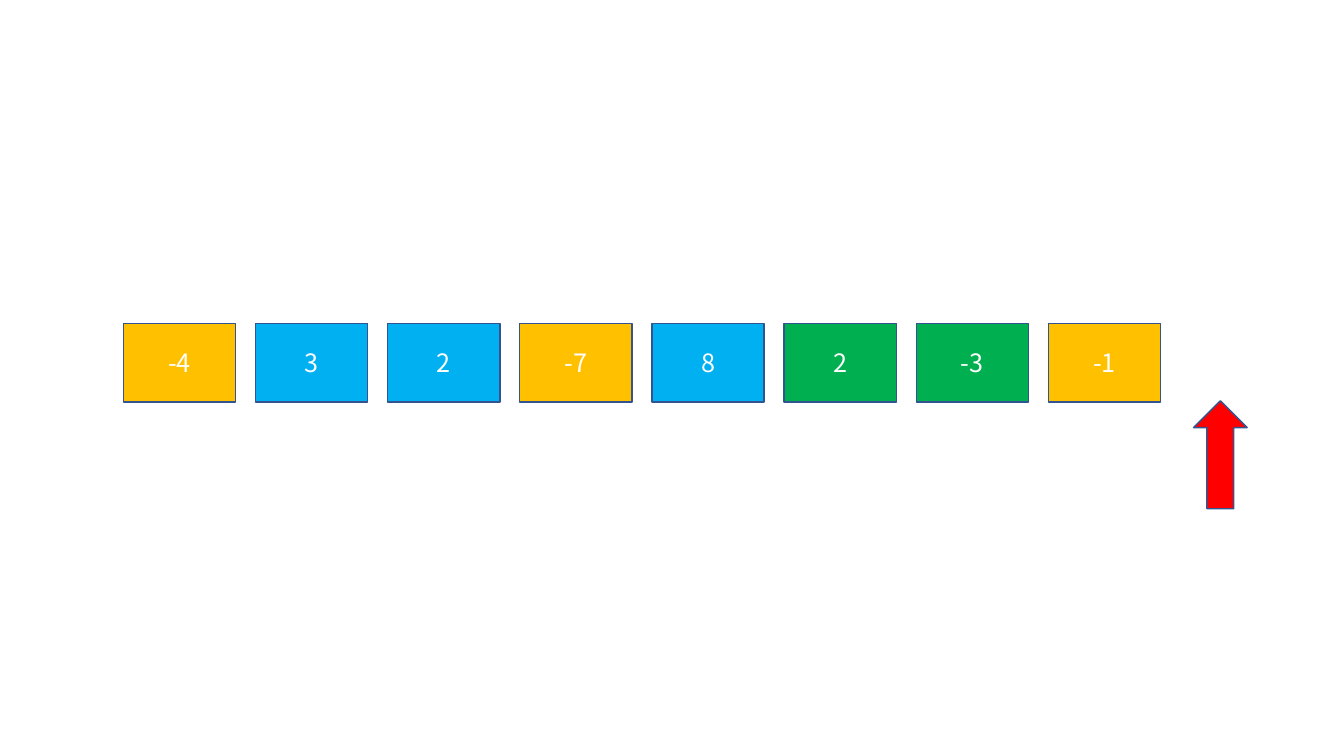
import pptx
import pptx.dml.color
import pptx.enum.shapes
import pptx.enum.text
import pptx.util

Cm = pptx.util.Cm
SHAPES = pptx.enum.shapes.MSO_SHAPE
COLOURS = {
    "amber": "FFC000",
    "blue": "00B0F0",
    "green": "00B050",
    "red": "FF0000",
    "outline": "325491",
    "text": "FFFFFF",
}


class ArraySlide:
    """Holds the style and the current slide."""

    font = "Noto Sans CJK SC"
    size = pptx.util.Pt(18)
    line_width = pptx.util.Pt(1)

    def __init__(self, slide):
        self.slide = slide

    def colour(self, name):
        return pptx.dml.color.RGBColor.from_string(COLOURS[name])

    def block(self, kind, left, top, width, height, fill):
        block = self.slide.shapes.add_shape(
            kind, Cm(left), Cm(top), Cm(width), Cm(height))
        block.shadow.inherit = False
        block.fill.solid()
        block.fill.fore_color.rgb = self.colour(fill)
        block.line.color.rgb = self.colour("outline")
        block.line.width = self.line_width
        return block

    def cell(self, value, left, top, width, height, fill):
        frame = self.block(SHAPES.RECTANGLE, left, top, width, height, fill).text_frame
        frame.text = str(value)
        frame.vertical_anchor = pptx.enum.text.MSO_ANCHOR.MIDDLE
        paragraph = frame.paragraphs[0]
        paragraph.alignment = pptx.enum.text.PP_ALIGN.CENTER
        font = paragraph.runs[0].font
        font.name, font.size = self.font, self.size
        font.color.rgb = self.colour("text")

    def pointer(self, left, top, width, height, fill):
        self.block(SHAPES.UP_ARROW, left, top, width, height, fill)


deck = pptx.Presentation()
deck.slide_width, deck.slide_height = Cm(33.87), Cm(19.05)
array = ArraySlide(deck.slides.add_slide(deck.slide_layouts[6]))

# Array of numbers, evenly spaced
row_left, row_top = 3.11, 8.17 - 0.02
cell_width, cell_height, pitch = 2.83, 1.98, 3.33
values = [(-4, "amber"), (3, "blue"), (2, "blue"), (-7, "amber"),
          (8, "blue"), (2, "green"), (-3, "green"), (-1, "amber")]
for index, (value, fill) in enumerate(values):
    array.cell(value, row_left + index * pitch, row_top, cell_width, cell_height, fill)

# Pointer just past the end of the array
array.pointer(30.08, 10.1, 1.35, 2.72, "red")

deck.save("out.pptx")
